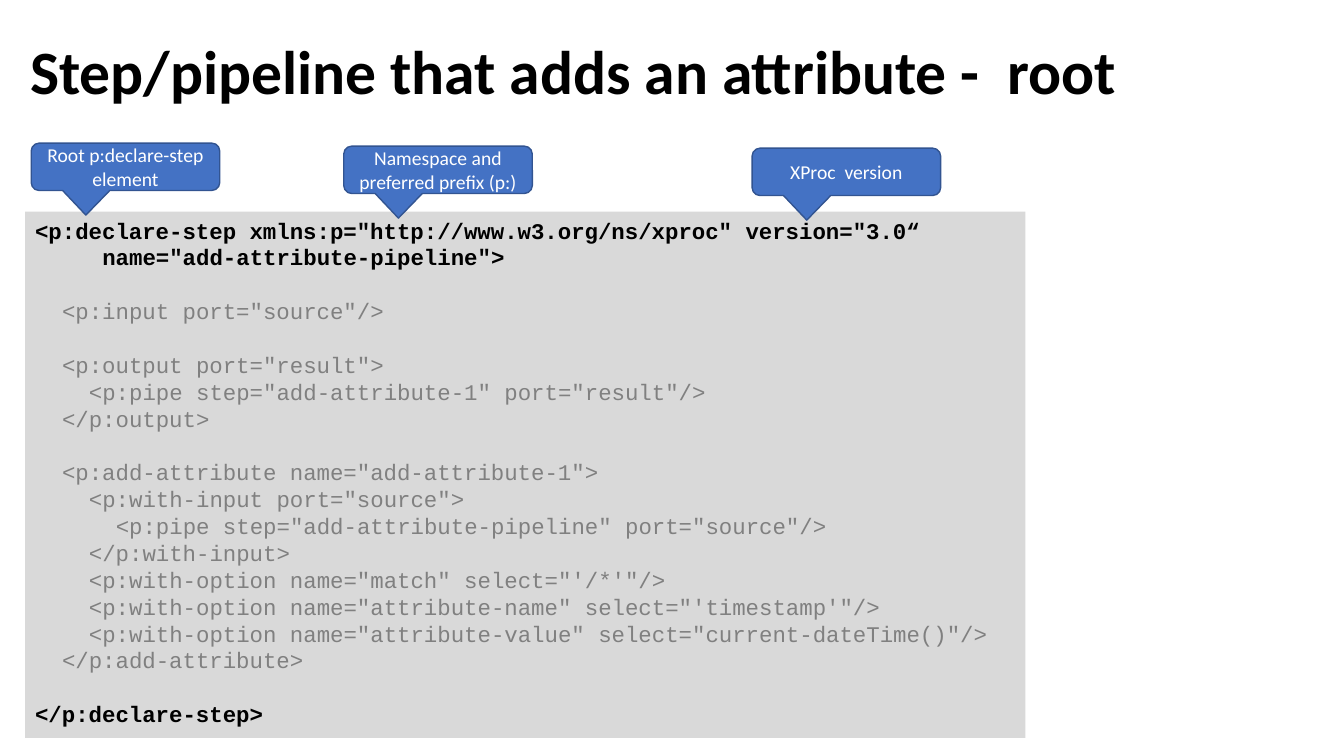
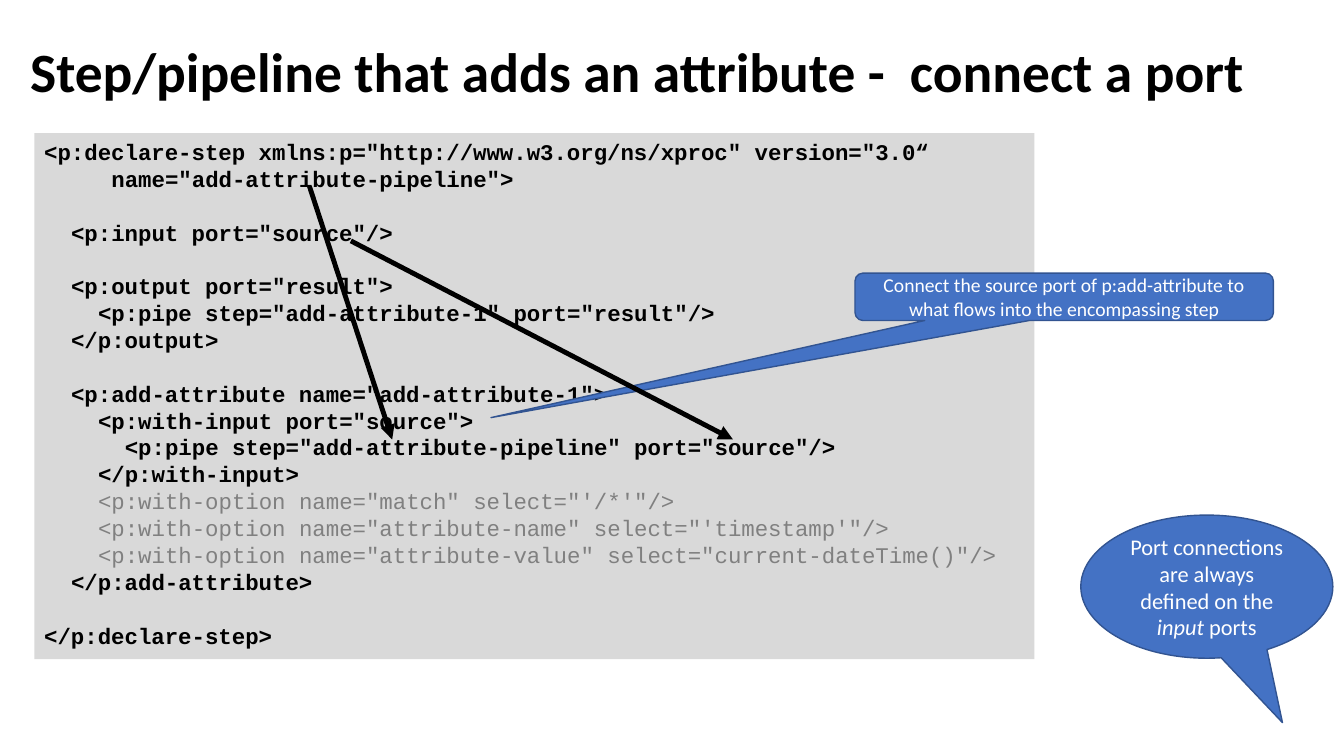
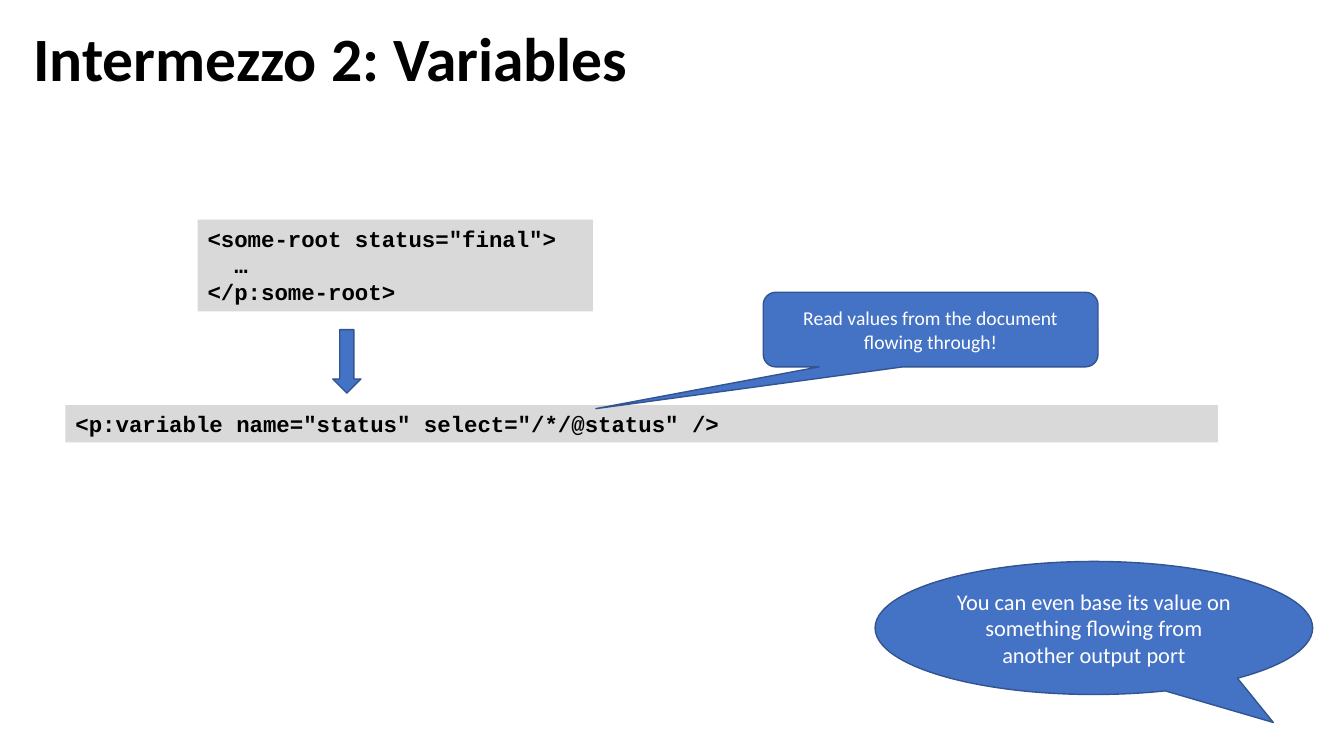
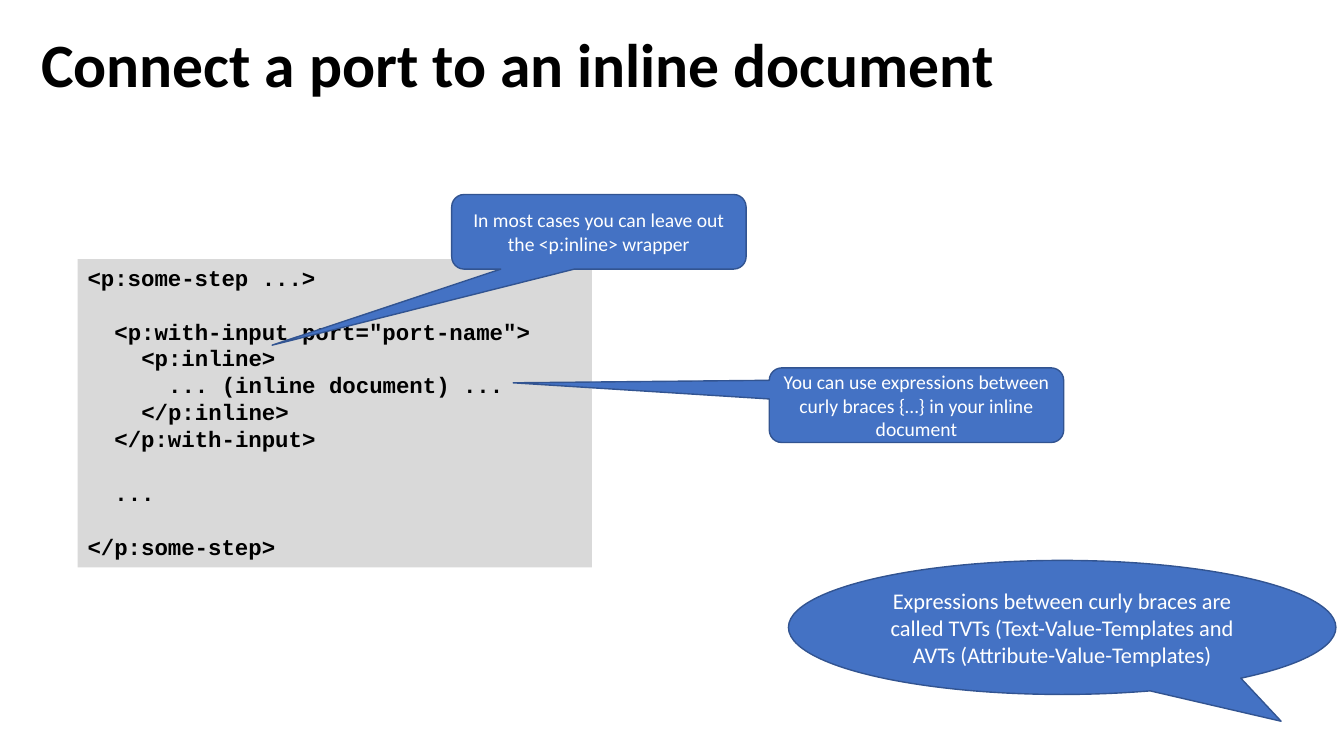
import pptx
import pptx.dml.color
import pptx.enum.shapes
import pptx.enum.text
import pptx.oxml
import pptx.oxml.ns
import pptx.util

Inches = pptx.util.Inches
Pt = pptx.util.Pt
SHAPES = pptx.enum.shapes.MSO_SHAPE

PIPELINE = """\
<p:declare-step xmlns:p="http://www.w3.org/ns/xproc" version="3.0“
     name="add-attribute-pipeline">

  <p:input port="source"/>

  <p:output port="result">
    <p:pipe step="add-attribute-1" port="result"/>
  </p:output>

  <p:add-attribute name="add-attribute-1">
    <p:with-input port="source">
      <p:pipe step="add-attribute-pipeline" port="source"/>
    </p:with-input>
    <p:with-option name="match" select="'/*'"/>
    <p:with-option name="attribute-name" select="'timestamp'"/>
    <p:with-option name="attribute-value" select="current-dateTime()"/>
  </p:add-attribute>

</p:declare-step>"""

SOME_ROOT = """\
<some-root status="final">
  …
</p:some-root>"""

VARIABLE = '<p:variable name="status" select="/*/@status" />'

INLINE_STEP = """\
<p:some-step ...>

  <p:with-input port="port-name">
    <p:inline>
      ... (inline document) ...
    </p:inline>
  </p:with-input>

  ...

</p:some-step>"""


def color(hex_string):
    return pptx.dml.color.RGBColor.from_string(hex_string)


class Deck:
    """Holds the shared style and the current slide."""

    BLACK, WHITE, MUTED = "000000", "FFFFFF", "808080"
    BLUE, BLUE_EDGE, CODE_FILL = "4472C4", "325491", "D9D9D9"
    TEXT_FONT, CODE_FONT = "Calibri", "Courier New"
    CODE_SIZE = 16
    CODE_CHARACTER = 9.6   # width of one code character, in points
    CODE_LINE = 19.2       # height of one code line, in points

    def __init__(self):
        self.presentation = pptx.Presentation()
        self.presentation.slide_width = Inches(13.33)
        self.presentation.slide_height = Inches(7.5)
        self.slide = None

    def style(self, run, font, size, hex_string, bold=False):
        run.font.name = font
        run.font.size = Pt(size)
        run.font.bold = bold
        run.font.color.rgb = color(hex_string)

    def text_box(self, box):
        shape = self.slide.shapes.add_textbox(*map(Inches, box))
        shape.text_frame.word_wrap = True
        return shape

    def new_slide(self, title, box, size=44):
        self.slide = self.presentation.slides.add_slide(self.presentation.slide_layouts[6])
        text_frame = self.text_box(box).text_frame
        text_frame.vertical_anchor = pptx.enum.text.MSO_ANCHOR.MIDDLE
        text_frame.text = title
        paragraph = text_frame.paragraphs[0]
        paragraph.line_spacing = 0.9
        self.style(paragraph.runs[0], self.TEXT_FONT, size, self.BLACK, bold=True)

    def code(self, source, box, muted=()):
        """Leading spaces become indents and empty lines become space before.

        muted holds the numbers of the grey lines, empty lines not counted.
        """
        shape = self.text_box(box)
        shape.fill.solid()
        shape.fill.fore_color.rgb = color(self.CODE_FILL)
        text_frame = shape.text_frame
        number = gap = 0
        for line in source.splitlines():
            text = line.lstrip()
            if not text:
                gap += self.CODE_LINE
                continue
            paragraph = text_frame.add_paragraph() if number else text_frame.paragraphs[0]
            paragraph.text = text
            paragraph.space_before = Pt(gap)
            indent = Pt((len(line) - len(text)) * self.CODE_CHARACTER)
            paragraph._p.get_or_add_pPr().set("marL", str(indent))
            is_muted = number in muted
            self.style(paragraph.runs[0], self.CODE_FONT, self.CODE_SIZE,
                       self.MUTED if is_muted else self.BLACK, bold=not is_muted)
            number, gap = number + 1, 0

    def blue_shape(self, kind, box):
        shape = self.slide.shapes.add_shape(kind, *map(Inches, box))
        shape.shadow.inherit = False
        shape.fill.solid()
        shape.fill.fore_color.rgb = color(self.BLUE)
        shape.line.color.rgb = color(self.BLUE_EDGE)
        shape.line.width = Pt(1)
        return shape

    def balloon(self, kind, parts, box, tip, size):
        """tip is the pointer's end, as a share of the size from the centre."""
        shape = self.blue_shape(kind, box)
        shape.adjustments[0], shape.adjustments[1] = tip
        text_frame = shape.text_frame
        text_frame.word_wrap = True
        text_frame.vertical_anchor = pptx.enum.text.MSO_ANCHOR.MIDDLE
        paragraph = text_frame.paragraphs[0]
        paragraph.alignment = pptx.enum.text.PP_ALIGN.CENTER
        for index, part in enumerate(parts):
            run = paragraph.add_run()
            run.text = part
            self.style(run, self.TEXT_FONT, size, self.WHITE)
            run.font.italic = index % 2 == 1

    def callout(self, text, box, tip):
        self.balloon(SHAPES.ROUNDED_RECTANGULAR_CALLOUT, [text], box, tip, 14)

    def remark(self, parts, box, tip):
        """Every second part is italic."""
        self.balloon(SHAPES.OVAL_CALLOUT, parts, box, tip, 16)

    def arrow(self, start, end):
        connector = self.slide.shapes.add_connector(
            pptx.enum.shapes.MSO_CONNECTOR.STRAIGHT, *map(Inches, start + end))
        connector.line.color.rgb = color(self.BLACK)
        connector.line.width = Pt(3.5)
        line = connector.line._get_or_add_ln()
        head = pptx.oxml.parse_xml(
            "<a:tailEnd %s type='triangle'/>" % pptx.oxml.ns.nsdecls("a"))
        line.append(head)
        connector._element.spPr.append(
            pptx.oxml.parse_xml("<a:effectLst %s/>" % pptx.oxml.ns.nsdecls("a")))


def main():
    deck = Deck()

    # Root element
    deck.new_slide("Step/pipeline that adds an attribute -  root", (0.2, 0.27, 11.41, 0.94))
    deck.code(PIPELINE, (0.25, 2.1, 9.92, 5.22), muted=range(2, 14))
    for text, left, top in (("Root p:declare-step element", 0.31, 1.42),
                            ("Namespace and preferred prefix (p:)", 3.41, 1.45),
                            ("XProc  version", 7.46, 1.47)):
        deck.callout(text, (left, top, 1.87, 0.47), (-0.21, 1.02))

    # Port connection
    deck.new_slide("Step/pipeline that adds an attribute -  connect a port",
                   (0.2, 0.27, 12.71, 0.94), size=39.6)
    deck.code(PIPELINE, (0.34, 1.32, 9.92, 5.22), muted=range(10, 13))
    deck.callout("Connect the source port of p:add-attribute to "
                 "what flows into the encompassing step",
                 (8.48, 2.71, 4.15, 0.47), (-1.37, 2.55))
    deck.arrow((3.07, 1.85), (3.89, 4.36))
    deck.arrow((3.48, 2.39), (7.27, 4.36))
    deck.remark(["Port connections are always defined on the ", "input", " ports"],
                (10.72, 5.11, 2.5, 1.42), (0.3, 0.95))

    # Variables
    deck.new_slide("Intermezzo 2: Variables", (0.23, 0.13, 6.38, 0.96))
    deck.code(VARIABLE, (0.65, 4.02, 11.43, 0.37))
    deck.callout("Read values from the document flowing through!",
                 (7.57, 2.9, 3.32, 0.74), (-1, 1.06))
    deck.remark(["You can even base its value on something flowing from another output port"],
                (8.68, 5.57, 4.34, 1.32), (0.41, 0.71))
    deck.code(SOME_ROOT, (1.96, 2.18, 3.92, 0.91))
    deck.blue_shape(SHAPES.DOWN_ARROW, (3.3, 3.27, 0.28, 0.63))

    # Inline document
    deck.new_slide("Connect a port to an inline document", (0.31, 0.2, 12.71, 0.94))
    deck.code(INLINE_STEP, (0.77, 2.57, 5.1, 3.06))
    deck.callout("In most cases you can leave out the <p:inline> wrapper",
                 (4.48, 1.93, 2.92, 0.74), (-1.11, 1.52))
    deck.callout("You can use expressions between curly braces {…} in your inline document",
                 (7.63, 3.65, 2.92, 0.74), (-1.37, -0.3))
    deck.remark(["Expressions between curly braces are called TVTs (Text-Value-Templates "
                 "and AVTs (Attribute-Value-Templates)"],
                (7.82, 5.56, 5.43, 1.33), (0.4, 0.7))

    deck.presentation.save("out.pptx")


if __name__ == "__main__":
    main()
